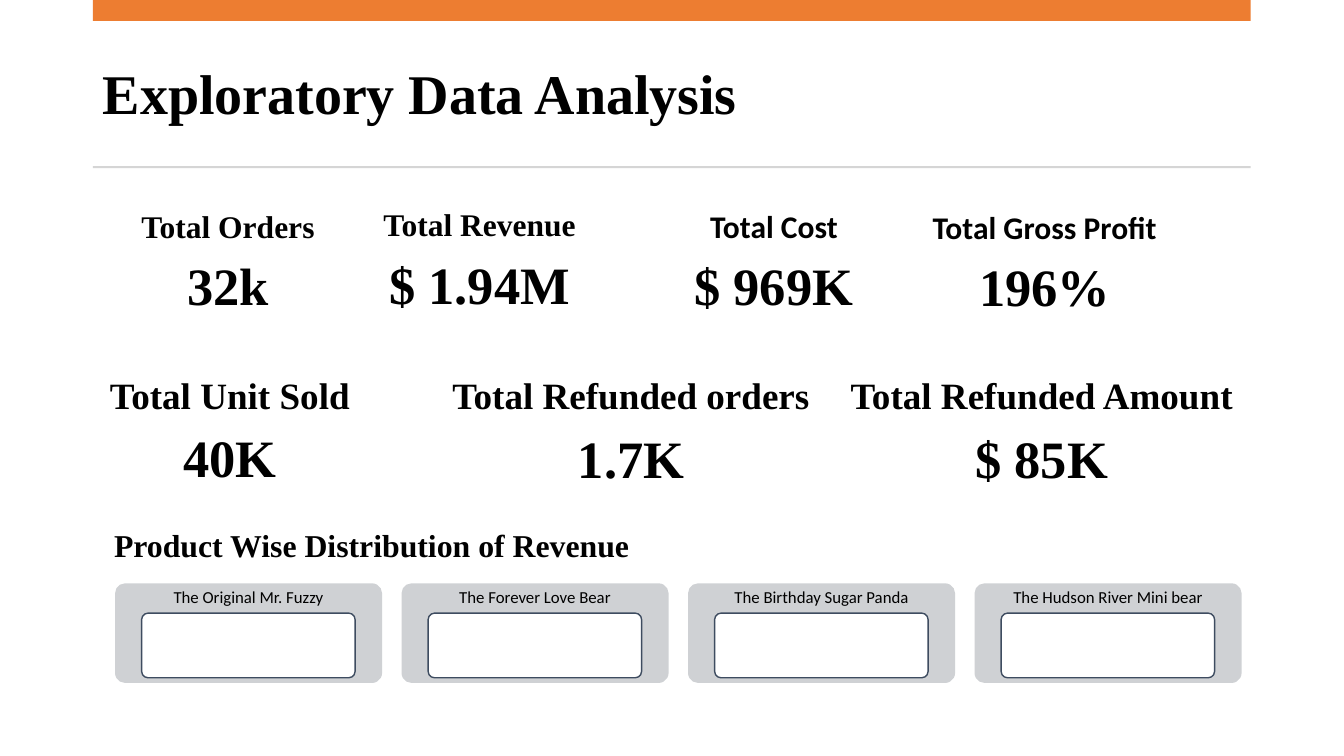
from pptx import Presentation
from pptx.dml.color import RGBColor
from pptx.enum.shapes import MSO_SHAPE
from pptx.enum.text import MSO_ANCHOR, MSO_AUTO_SIZE, PP_ALIGN
from pptx.util import Cm, Pt

COLOURS = {
    "ink": "000000",
    "accent": "ED7D31",
    "rule": "D5D5D5",
    "card": "CFD1D4",
    "panel": "FFFFFF",
    "outline": "3E4C60",
}
SERIF, SANS = "Times New Roman", "Calibri"
LEFT, CONTENT_WIDTH = 2.34, 29.18


def colour(name):
    return RGBColor.from_string(COLOURS[name])


def apply(target, values):
    for name, value in values.items():
        setattr(target, name, value)


class SlideBuilder:
    """Holds the slide and its style, and adds each kind of element."""

    def __init__(self, page):
        self.page = page
        self.frame_format = {"word_wrap": True}
        self.label_format = {
            "vertical_anchor": MSO_ANCHOR.MIDDLE,
            "margin_left": Cm(0.13), "margin_right": Cm(0.13),
            "margin_top": Cm(0.13), "margin_bottom": Cm(0.13),
        }
        self.title_format = {"vertical_anchor": MSO_ANCHOR.MIDDLE}
        self.grow_format = {"auto_size": MSO_AUTO_SIZE.SHAPE_TO_FIT_TEXT}
        self.centred = {"alignment": PP_ALIGN.CENTER, "space_after": Pt(6.2)}

    def shape(self, kind, place, fill, outline=None):
        shape = self.page.shapes.add_shape(kind, *map(Cm, place))
        shape.shadow.inherit = False
        shape.fill.solid()
        shape.fill.fore_color.rgb = colour(fill)
        if outline:
            shape.line.color.rgb = colour(outline)
            shape.line.width = Pt(1)
        else:
            shape.line.fill.background()
        return shape

    def bar(self, place, fill):
        return self.shape(MSO_SHAPE.RECTANGLE, place, fill)

    def rounded(self, place, fill, outline=None):
        shape = self.shape(MSO_SHAPE.ROUNDED_RECTANGLE, place, fill, outline)
        shape.adjustments[0] = 0.1
        return shape

    def text(self, place, lines, frame_format, para_format):
        """Each line is (wording, size, font, bold)."""
        box = self.page.shapes.add_textbox(*map(Cm, place))
        frame = box.text_frame
        apply(frame, self.frame_format | frame_format)
        for index, (wording, size, font, bold) in enumerate(lines):
            para = frame.add_paragraph() if index else frame.paragraphs[0]
            apply(para, para_format)
            span = para.add_run()
            span.text = wording
            apply(span.font, {"size": Pt(size), "name": font, "bold": bold})
            span.font.color.rgb = colour("ink")
        return box

    def title(self, place, wording):
        spacing = {"line_spacing": 0.9, "space_after": Pt(6)}
        self.text(place, [(wording, 40, SERIF, True)], self.title_format, spacing)

    def heading(self, place, wording):
        self.text(place, [(wording, 22.7, SERIF, True)], self.grow_format, self.centred)

    def metric(self, place, name, value, size, font):
        lines = [(name, size, font, True), (value, 37.5, SERIF, True)]
        self.text(place, lines, self.grow_format, self.centred)

    def product_card(self, left, top, name):
        width = 6.73
        self.rounded((left, top, width, 2.51), "card")
        spacing = {"alignment": PP_ALIGN.CENTER, "line_spacing": 0.9, "space_after": Pt(4.2)}
        self.text((left, top, width, 0.76), [(name, 12, SANS, False)],
                  self.label_format, spacing)
        self.rounded((left + 0.67, top + 0.75, 5.38, 1.63), "panel", "outline")


def main():
    deck = Presentation()
    apply(deck, {"slide_width": Cm(33.87), "slide_height": Cm(19.05)})
    builder = SlideBuilder(deck.slides.add_slide(deck.slide_layouts[6]))

    # Title with its bars
    builder.title((LEFT, 0.94, CONTENT_WIDTH, 3), "Exploratory Data Analysis")
    builder.bar((LEFT, 0, CONTENT_WIDTH, 0.53), "accent")
    builder.bar((LEFT, 4.19, CONTENT_WIDTH, 0.05), "rule")

    # Key figures
    metrics = [
        ((3.12, 5.08, 5.26, 3.1), "Total Orders", "32k", 22.5, SERIF),
        ((8.61, 5.05, 6.96, 3.02), "Total Revenue", "$ 1.94M", 22.5, SERIF),
        ((17.09, 5.08, 4.83, 3.05), "Total Cost", "$ 969K", 22.5, SANS),
        ((21.95, 5.11, 8.76, 3.05), "Total Gross Profit", "196%", 22.5, SANS),
        ((LEFT, 9.25, 6.91, 3.2), "Total Unit Sold", "40K", 26.5, SERIF),
        ((10.85, 9.27, 10.11, 3.25), "Total Refunded orders", "1.7K", 26.5, SERIF),
        ((21.01, 9.27, 10.49, 3.25), "Total Refunded Amount", "$ 85K", 26.5, SERIF),
    ]
    for metric in metrics:
        builder.metric(*metric)

    # Product cards
    builder.heading((LEFT, 13.13, 14.05, 1.22), "Product Wise Distribution of Revenue")
    products = ["The Original Mr. Fuzzy", "The Forever Love Bear",
                "The Birthday Sugar Panda", "The Hudson River Mini bear"]
    for index, product in enumerate(products):
        builder.product_card(2.9 + 7.22 * index, 14.7, product)

    deck.save("out.pptx")


if __name__ == "__main__":
    main()
